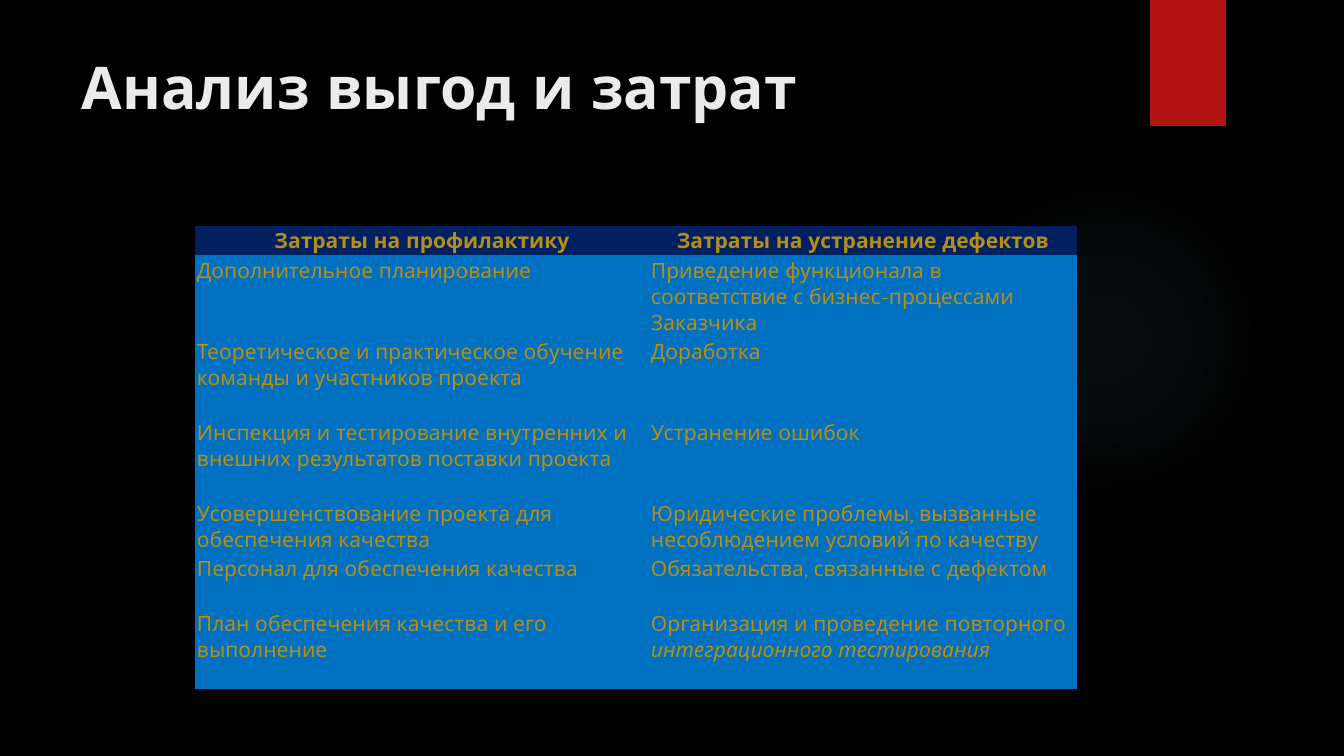
from lxml import etree
from pptx import Presentation
from pptx import util as u
from pptx.dml.color import RGBColor
from pptx.enum import shapes, text
from pptx.oxml import ns

PX = 914400 / 100.8
FONT = "Quicksand"
BLACK = RGBColor(0x00, 0x00, 0x00)
RED = RGBColor(0xB0, 0x15, 0x13)
WHITE = RGBColor(0xEB, 0xEB, 0xEB)
GOLD = RGBColor(0xB6, 0x8E, 0x15)
NAVY = RGBColor(0x00, 0x20, 0x60)
BLUE = RGBColor(0x00, 0x70, 0xC0)
TEAL = RGBColor(0x50, 0xB9, 0xC1)
NO_STYLE = "{2D5ABB26-0587-4C30-8999-92F81FD0307C}"

GLOW_STOPS = [(0, 7), (36, 6), (69, 0)]
COLS = [454, 428]
ROWS = [29, 81, 81, 81, 55, 55, 81]
COSTS = [
    ("Затраты на профилактику", "Затраты на устранение дефектов"),
    ("Дополнительное планирование",
     "Приведение функционала в соответствие с бизнес-процессами Заказчика"),
    ("Теоретическое и практическое обучение команды и участников проекта",
     "Доработка"),
    ("Инспекция и тестирование внутренних и внешних результатов поставки проекта",
     "Устранение ошибок"),
    ("Усовершенствование проекта для обеспечения качества",
     "Юридические проблемы, вызванные несоблюдением условий по качеству"),
    ("Персонал для обеспечения качества", "Обязательства, связанные с дефектом"),
    ("План обеспечения качества и его выполнение",
     "Организация и проведение повторного "),
]
ITALIC_END = "интеграционного тестирования"


def px(*values):
    return [u.Emu(round(v * PX)) for v in values]


def style_run(r, size, color, bold=False, italic=False):
    r.font.name = FONT
    r.font.size = u.Pt(size)
    r.font.color.rgb = color
    r.font.bold = bold
    r.font.italic = italic


def add_block(s, kind, box, color):
    sp = s.shapes.add_shape(kind, *px(*box))
    sp.shadow.inherit = False
    sp.fill.solid()
    sp.fill.fore_color.rgb = color
    sp.line.fill.background()
    return sp


def add_glow(s, box, color, stops):
    sp = add_block(s, shapes.MSO_SHAPE.OVAL, box, color)
    solid = sp.element.spPr.find(ns.qn("a:solidFill"))
    grad = etree.Element(ns.qn("a:gradFill"), rotWithShape="1")
    gs_list = etree.SubElement(grad, ns.qn("a:gsLst"))
    for pos, alpha in stops:
        gs = etree.SubElement(gs_list, ns.qn("a:gs"), pos=str(pos * 1000))
        clr = etree.SubElement(gs, ns.qn("a:srgbClr"), val=str(color))
        etree.SubElement(clr, ns.qn("a:alpha"), val=str(alpha * 1000))
    circle = etree.SubElement(grad, ns.qn("a:path"), path="circle")
    etree.SubElement(circle, ns.qn("a:fillToRect"),
                     l="50000", t="50000", r="50000", b="50000")
    solid.getparent().replace(solid, grad)


def add_title(s, box, title):
    tf = s.shapes.add_textbox(*px(*box)).text_frame
    tf.word_wrap = True
    tf.margin_top = px(1)[0]
    tf.text = title
    style_run(tf.paragraphs[0].runs[0], 42, WHITE, bold=True)


def fill_cell(cell, words, header):
    cell.fill.solid()
    cell.fill.fore_color.rgb = NAVY if header else BLUE
    cell.margin_left = cell.margin_right = px(2)[0]
    cell.margin_top = cell.margin_bottom = px(2)[0]
    p = cell.text_frame.paragraphs[0]
    p.text = words
    style_run(p.runs[0], 15, GOLD, bold=header)
    if header:
        cell.vertical_anchor = text.MSO_ANCHOR.MIDDLE
        p.alignment = text.PP_ALIGN.CENTER


def add_cost_table(s, left, top):
    frame = s.shapes.add_table(len(ROWS), len(COLS),
                               *px(left, top, sum(COLS), sum(ROWS)))
    table = frame.table
    table.horz_banding = False
    frame.element.find(".//" + ns.qn("a:tableStyleId")).text = NO_STYLE
    for col, width in zip(table.columns, px(*COLS)):
        col.width = width
    for row, height in zip(table.rows, px(*ROWS)):
        row.height = height
    for i, row in enumerate(COSTS):
        for j, words in enumerate(row):
            fill_cell(table.cell(i, j), words, header=i == 0)
    return table


def main():
    prs = Presentation()
    prs.slide_width, prs.slide_height = px(1344, 756)
    s = prs.slides.add_slide(prs.slide_layouts[6])
    s.background.fill.solid()
    s.background.fill.fore_color.rgb = BLACK

    add_glow(s, (949, 184, 310, 310), TEAL, GLOW_STOPS)
    add_block(s, shapes.MSO_SHAPE.RECTANGLE, (1150, 0, 76, 126), RED)
    add_title(s, (72, 50, 1037, 154), "Анализ выгод и затрат")
    table = add_cost_table(s, 195, 226)
    r = table.cell(len(ROWS) - 1, 1).text_frame.paragraphs[0].add_run()
    r.text = ITALIC_END
    style_run(r, 15, GOLD, italic=True)

    prs.save("out.pptx")


if __name__ == "__main__":
    main()
